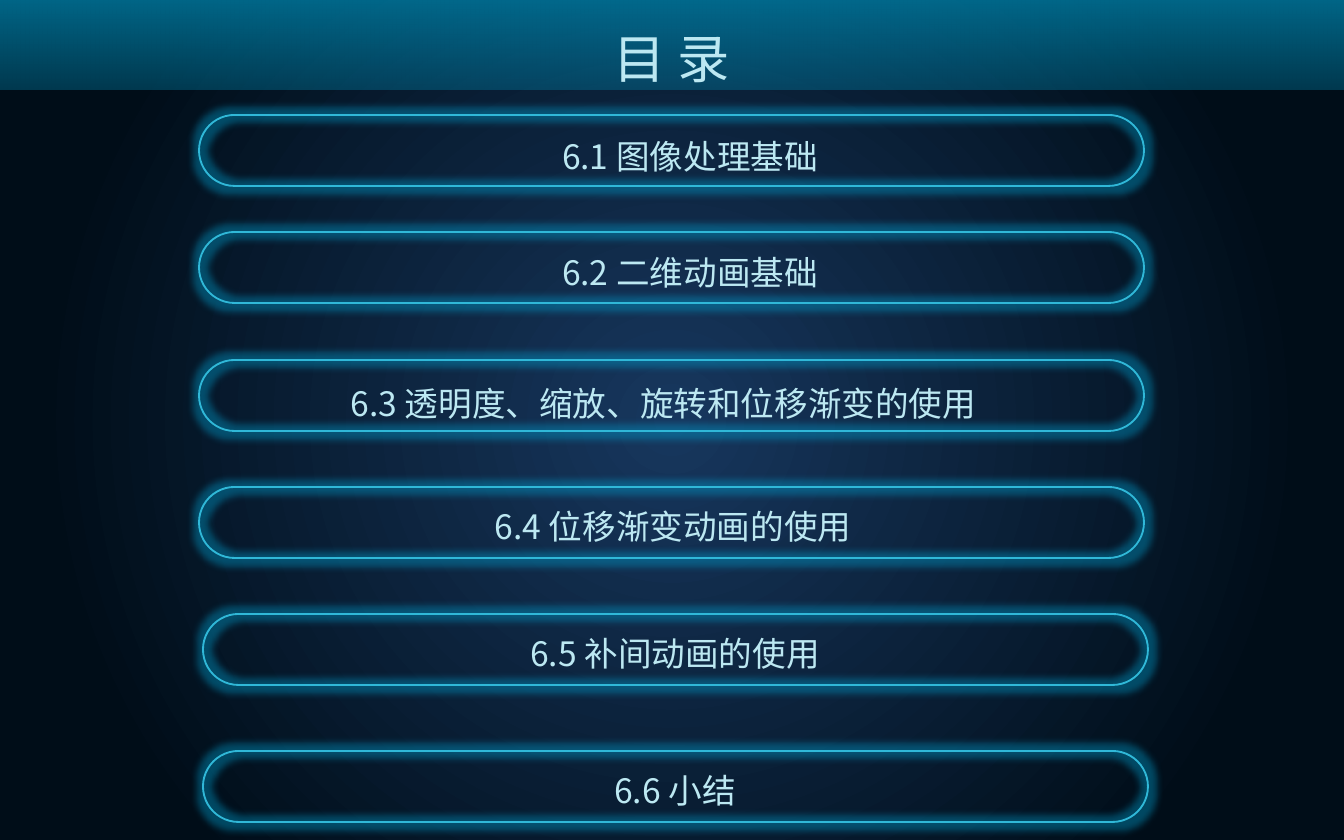
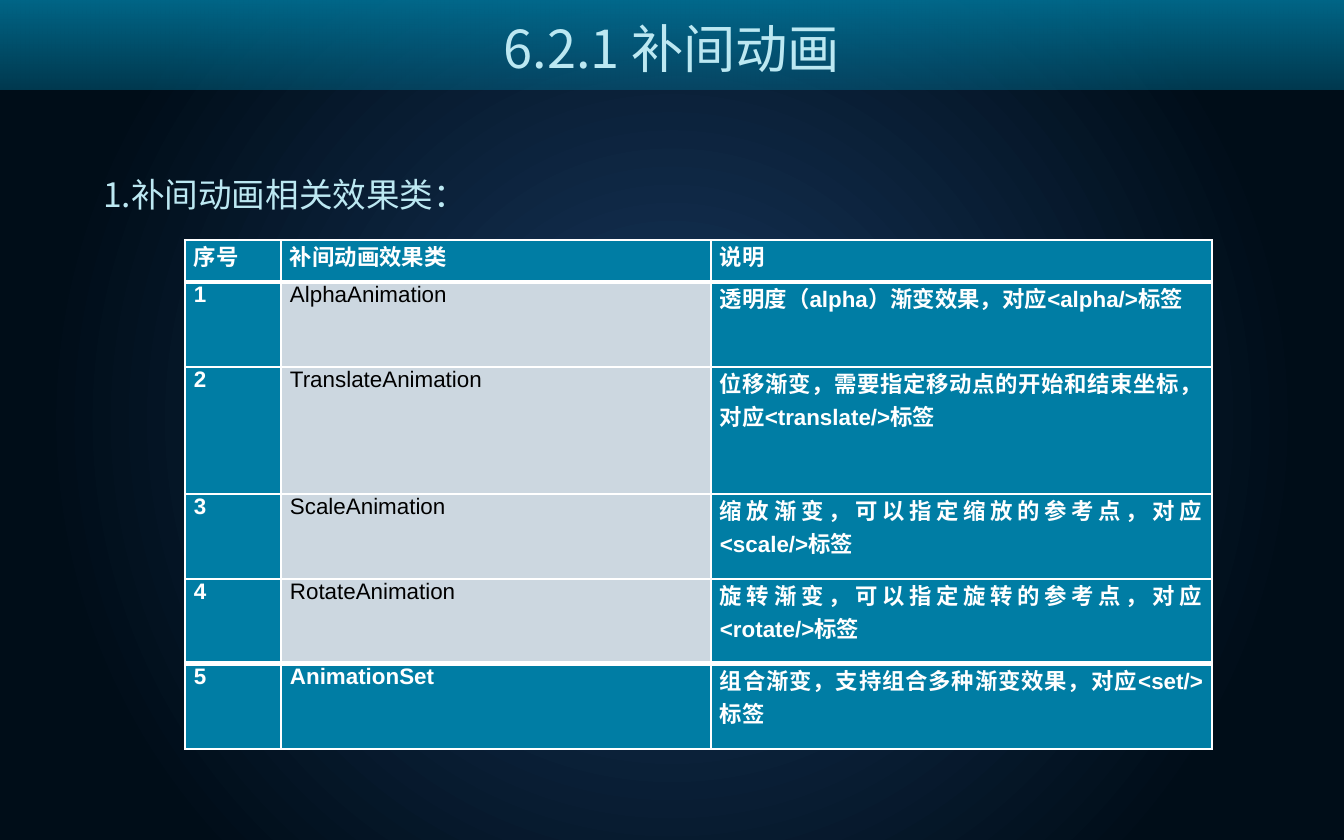
from lxml import etree
from pptx import Presentation
from pptx import util as u
from pptx.dml.color import RGBColor
from pptx.enum import shapes, text
from pptx.oxml.ns import qn

EMU_PER_PX = 914400 / 134.4
WIDTH, HEIGHT = 1344, 840
COLORS = {
    "center": "17375E",
    "edge": "000D18",
    "teal": "007DA4",
    "cyan": "30B8D8",
    "glow": "00A0D0",
    "pale": "BCE8F2",
    "title": "4EC3DE",
    "grey": "CCD7E0",
    "white": "FFFFFF",
    "black": "000000",
}
SANS = "Noto Sans CJK SC"
TABLE_FONT = "Arial"

PILL_LEFT, PILL_WIDTH, PILL_HEIGHT = 199, 945, 71
CONTENTS = [
    ("6.1 图像处理基础", 0, 115, 464, 129, 452),
    ("6.2 二维动画基础", 0, 232, 464, 245, 452),
    ("6.3 透明度、缩放、旋转和位移渐变的使用", 0, 360, 333, 376, 661),
    ("6.4 位移渐变动画的使用", 0, 487, 464, 499, 418),
    ("6.5 补间动画的使用", 4, 614, 466, 626, 418),
    ("6.6 小结", 4, 751, 466, 763, 418),
]
EFFECTS = [
    ("序号", "补间动画效果类", "说明"),
    ("1", "AlphaAnimation", "透明度（alpha）渐变效果，对应<alpha/>标签"),
    ("2", "TranslateAnimation", "位移渐变，需要指定移动点的开始和结束坐标，对应<translate/>标签"),
    ("3", "ScaleAnimation", "缩放渐变，可以指定缩放的参考点，对应<scale/>标签"),
    ("4", "RotateAnimation", "旋转渐变，可以指定旋转的参考点，对应<rotate/>标签"),
    ("5", "AnimationSet", "组合渐变，支持组合多种渐变效果，对应<set/>标签"),
]


def px(length):
    return u.Emu(round(length * EMU_PER_PX))


def rgb(name):
    return RGBColor.from_string(COLORS[name])


def add_node(parent, tag, **attributes):
    return etree.SubElement(parent, qn(tag), {key: str(value) for key, value in attributes.items()})


def add_color(parent, name, alpha=100):
    color = add_node(parent, "a:srgbClr", val=COLORS[name])
    if alpha < 100:
        add_node(color, "a:alpha", val=alpha * 1000)


def replace_with_gradient(element, stops, angle=None):
    solid = next(element.iter(qn("a:solidFill")))
    gradient = etree.Element(qn("a:gradFill"), rotWithShape="1")
    stop_list = add_node(gradient, "a:gsLst")
    for position, name, alpha in stops:
        add_color(add_node(stop_list, "a:gs", pos=position * 1000), name, alpha)
    if angle is None:
        circle = add_node(gradient, "a:path", path="circle")
        add_node(circle, "a:fillToRect", l=50000, t=50000, r=50000, b=50000)
    else:
        add_node(gradient, "a:lin", ang=angle * 60000, scaled=0)
    solid.getparent().replace(solid, gradient)


class SlideBuilder:
    def __init__(self):
        self.deck = Presentation()
        self.deck.slide_width, self.deck.slide_height = px(WIDTH), px(HEIGHT)
        self.page = None

    def new_page(self):
        self.page = self.deck.slides.add_slide(self.deck.slide_layouts[6])
        self.page.background.fill.solid()
        self.page.background.fill.fore_color.rgb = rgb("edge")
        replace_with_gradient(self.page.element, [(0, "center", 100), (80, "edge", 100)])
        self.band()

    def band(self):
        band = self.page.shapes.add_shape(
            shapes.MSO_SHAPE.ROUND_2_SAME_RECTANGLE, 0, 0, px(WIDTH), px(90))
        band.adjustments[0] = band.adjustments[1] = 0
        band.shadow.inherit = False
        band.line.fill.background()
        band.fill.solid()
        band.fill.fore_color.rgb = rgb("teal")
        replace_with_gradient(band.element, [(0, "teal", 39), (100, "teal", 80)], 90)
        band.element.spPr.find(qn("a:xfrm")).set("flipV", "1")

    def style(self, paragraph, size, color, font=SANS, bold=None):
        for span in paragraph.runs:
            span.font.size = u.Pt(size)
            span.font.bold = bold
            span.font.color.rgb = rgb(color)
            span.font.name = font
            if font == SANS:
                latin = next(span.font._element.iter(qn("a:latin")))
                latin.addnext(etree.Element(qn("a:ea"), typeface=font))

    def label(self, words, left, top, width, height=54, size=18, centered=True, parent=None):
        box = (parent or self.page).shapes.add_textbox(px(left), px(top), px(width), px(height))
        frame = box.text_frame
        frame.word_wrap = True
        frame.auto_size = text.MSO_AUTO_SIZE.SHAPE_TO_FIT_TEXT
        frame.text = words
        para = frame.paragraphs[0]
        if centered:
            para.alignment = text.PP_ALIGN.CENTER
        self.style(para, size, "pale")
        return box

    def title(self, words, left, top, width, height):
        box = self.label(words, left, top, width, height, size=28)
        para = box.text_frame.paragraphs[0]
        para.line_spacing = 1.2
        para.space_before = u.Pt(14)
        before = next(box.element.iter(qn("a:spcBef")))
        before.remove(before[0])
        add_node(before, "a:spcPct", val=50000)
        replace_with_gradient(
            box.element,
            [(0, "title", 100), (40, "pale", 100), (60, "pale", 100), (100, "title", 100)], 0)

    def pill(self, words, shift, top, text_left, text_top, text_width):
        group = self.page.shapes.add_group_shape()
        pill = group.shapes.add_shape(
            shapes.MSO_SHAPE.ROUNDED_RECTANGLE,
            px(PILL_LEFT + shift), px(top), px(PILL_WIDTH), px(PILL_HEIGHT))
        pill.adjustments[0] = 0.5
        pill.fill.background()
        pill.line.color.rgb = rgb("cyan")
        pill.line.width = u.Pt(1)
        pill.shadow.inherit = False
        effects = pill.element.spPr.find(qn("a:effectLst"))
        add_color(add_node(effects, "a:glow", rad=px(15)), "glow", 40)
        self.label(words, text_left, text_top, text_width, parent=group)

    def borders(self, cell, top, bottom):
        properties = cell._tc.get_or_add_tcPr()
        sides = [("a:lnL", 1), ("a:lnR", 1), ("a:lnT", top), ("a:lnB", bottom)]
        for index, (tag, points) in enumerate(sides):
            line = etree.Element(qn(tag), w=str(u.Pt(points)))
            add_color(add_node(line, "a:solidFill"), "white")
            properties.insert(index, line)

    def table(self, rows, left, top, widths, heights):
        table = self.page.shapes.add_table(
            len(rows), len(widths), px(left), px(top), px(sum(widths)), px(sum(heights))).table
        table.horz_banding = False
        for column, width in zip(table.columns, widths):
            column.width = px(width)
        last = len(rows) - 1
        for row, (values, height) in enumerate(zip(rows, heights)):
            table.rows[row].height = px(height)
            for column, words in enumerate(values):
                plain = column == 1 and 0 < row < last
                cell = table.cell(row, column)
                cell.margin_left = cell.margin_right = px(9)
                cell.margin_top = cell.margin_bottom = 0
                cell.fill.solid()
                cell.fill.fore_color.rgb = rgb("grey" if plain else "teal")
                cell.text_frame.text = words
                para = cell.text_frame.paragraphs[0]
                para.alignment = text.PP_ALIGN.JUSTIFY
                self.style(para, 12, "black" if plain else "white", TABLE_FONT, not plain)
                self.borders(cell, 3 if row in (1, last) else 1, 3 if row in (0, last - 1) else 1)


def main():
    builder = SlideBuilder()

    builder.new_page()
    for entry in CONTENTS:
        builder.pill(*entry)
    builder.title("目 录", 561, 7, 222, 90)

    builder.new_page()
    builder.title("6.2.1 补间动画", 0, -3, WIDTH, 85)
    builder.label("1.补间动画相关效果类：", 90, 167, 1048, centered=False)
    builder.table(EFFECTS, 185, 240, [96, 430, 501], [42, 85, 127, 85, 85, 85])

    builder.deck.save("out.pptx")


if __name__ == "__main__":
    main()
